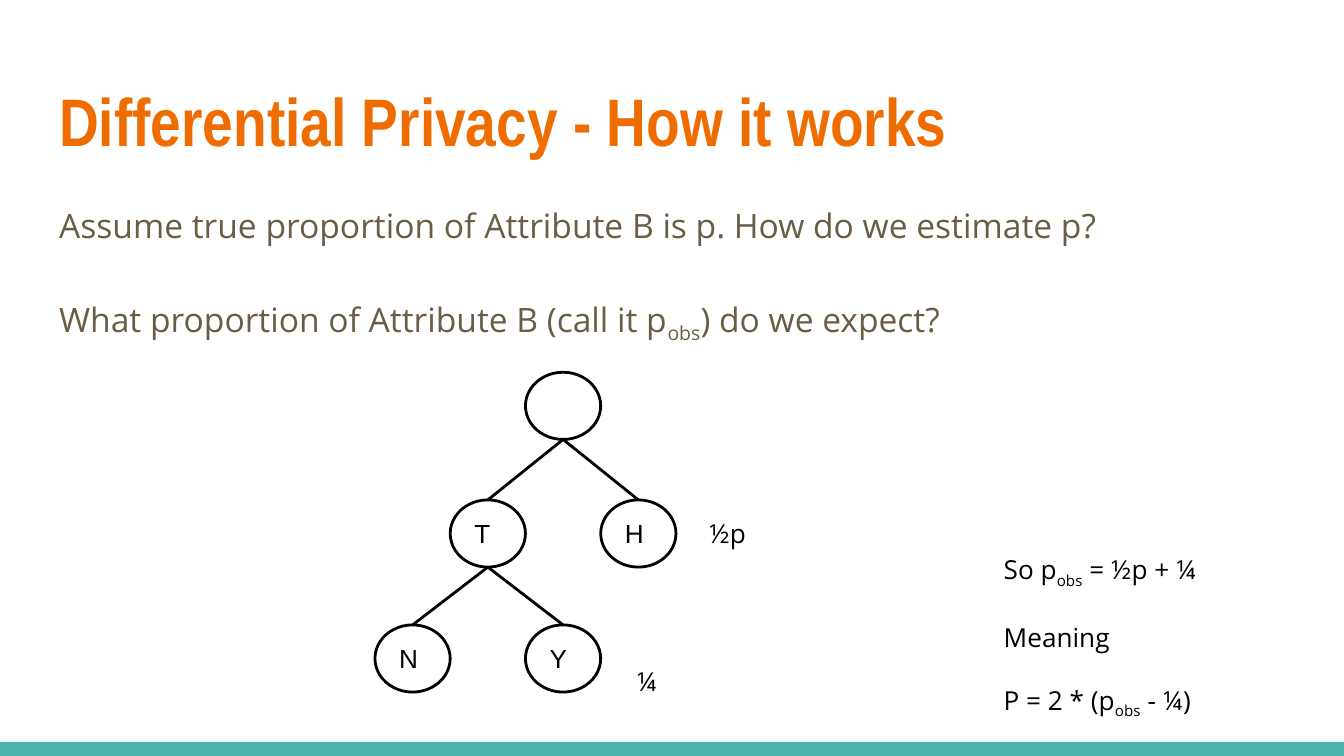
from dataclasses import dataclass

from lxml.etree import SubElement
from pptx import Presentation
from pptx.dml.color import RGBColor
from pptx.enum.shapes import MSO_CONNECTOR, MSO_SHAPE
from pptx.enum.text import MSO_ANCHOR, MSO_AUTO_SIZE, PP_ALIGN
from pptx.oxml.ns import qn
from pptx.util import Inches, Pt


@dataclass(frozen=True)
class Style:
    font: str
    size: int
    color: str
    bold: bool = False


@dataclass(frozen=True)
class Theme:
    title: Style = Style("Arial Narrow", 36, "EF6C00", True)
    body: Style = Style("Open Sans", 18, "695D46")
    node: Style = Style("Arial", 14, "000000")
    note: Style = Style("Open Sans", 14, "000000")
    bar: str = "4DB6AC"
    line: str = "000000"
    line_width: float = 1.5


THEME = Theme()
NODE_WIDTH, NODE_HEIGHT = 0.56, 0.5
TREE_LEFT = 2.79
ROW_TOPS = [2.77, 3.72, 4.65]

# name: (row, column, label); columns are one node width apart
NODES = {
    "root": (0, 2, ""),
    "tails": (1, 1, "T"),
    "heads": (1, 3, "H"),
    "no": (2, 0, "N"),
    "yes": (2, 2, "Y"),
}
BRANCHES = [("root", "tails"), ("root", "heads"), ("tails", "yes"), ("tails", "no")]


def write(shape, lines, style, gap=0, spacing=1.0):
    """Fill a shape with paragraphs; text between two bars is subscript."""
    frame = shape.text_frame
    frame.word_wrap = True
    frame.margin_left = frame.margin_right = Inches(0.1)
    frame.margin_top = frame.margin_bottom = Inches(0.1)
    for index, line in enumerate(lines):
        para = frame.add_paragraph() if index else frame.paragraphs[0]
        para.alignment = PP_ALIGN.LEFT
        para.line_spacing = spacing
        para.space_before = Pt(gap if index else 0)
        for part, text in enumerate(line.split("|")):
            span = para.add_run()
            span.text = text
            span.font.name = style.font
            span.font.size = Pt(style.size)
            span.font.bold = style.bold
            span.font.color.rgb = RGBColor.from_string(style.color)
            if part % 2:
                span.font._element.set("baseline", "-25000")


def fill_placeholder(shape, left, top, width, height, lines, style, **layout):
    shape.left, shape.top = Inches(left), Inches(top)
    shape.width, shape.height = Inches(width), Inches(height)
    write(shape, lines, style, **layout)
    shape.text_frame.auto_size = MSO_AUTO_SIZE.NONE
    shape.text_frame.vertical_anchor = MSO_ANCHOR.TOP
    for para in shape.text_frame.paragraphs:
        properties = para._p.get_or_add_pPr()
        properties.set("marL", "0")
        properties.set("indent", "0")
        SubElement(properties, qn("a:buNone"))


def add_note(slide, left, top, width, height, lines, gap=0):
    box = slide.shapes.add_textbox(Inches(left), Inches(top), Inches(width), Inches(height))
    write(box, lines, THEME.note, gap)


def add_bar(slide):
    bar = slide.shapes.add_shape(
        MSO_SHAPE.RECTANGLE, 0, Inches(5.52), Inches(10), Inches(0.11))
    bar.shadow.inherit = False
    bar.fill.solid()
    bar.fill.fore_color.rgb = RGBColor.from_string(THEME.bar)
    bar.line.fill.background()


def draw_line(line):
    line.color.rgb = RGBColor.from_string(THEME.line)
    line.width = Pt(THEME.line_width)


def add_node(slide, row, column, label):
    node = slide.shapes.add_shape(
        MSO_SHAPE.OVAL, Inches(TREE_LEFT + column * NODE_WIDTH),
        Inches(ROW_TOPS[row]), Inches(NODE_WIDTH), Inches(NODE_HEIGHT))
    node.shadow.inherit = False
    node.fill.background()
    draw_line(node.line)
    if label:
        write(node, [label], THEME.node)
        node.text_frame.vertical_anchor = MSO_ANCHOR.MIDDLE
    return node


def add_branch(slide, parent, child):
    """Run from the bottom of the parent to the top of the child."""
    branch = slide.shapes.add_connector(
        MSO_CONNECTOR.STRAIGHT,
        parent.left + parent.width // 2, parent.top + parent.height,
        child.left + child.width // 2, child.top)
    draw_line(branch.line)
    SubElement(branch._element.spPr, qn("a:effectLst"))


def add_tree(slide):
    nodes = {name: add_node(slide, *place) for name, place in NODES.items()}
    for parent, child in BRANCHES:
        add_branch(slide, nodes[parent], nodes[child])


def main():
    deck = Presentation()
    deck.slide_width = Inches(10)
    deck.slide_height = Inches(10) * 9 // 16
    slide = deck.slides.add_slide(deck.slide_layouts[1])

    add_bar(slide)
    fill_placeholder(slide.shapes.title, 0.34, 0.49, 9.32, 0.77,
                     ["Differential Privacy - How it works"], THEME.title)
    fill_placeholder(slide.placeholders[1], 0.34, 1.38, 9.32, 3.61, [
        "Assume true proportion of Attribute B is p. How do we estimate p?",
        "What proportion of Attribute B (call it p|obs|) do we expect?",
    ], THEME.body, gap=25, spacing=1.15)

    add_tree(slide)
    add_note(slide, 5.18, 3.75, 0.56, 0.44, ["½p"])
    add_note(slide, 4.64, 4.85, 0.36, 0.44, ["¼"])
    add_note(slide, 7.37, 4.02, 2.17, 1.38,
             ["So p|obs| = ½p + ¼", "Meaning", "P = 2 * (p|obs| - ¼)"], gap=17)

    deck.save("out.pptx")


if __name__ == "__main__":
    main()
